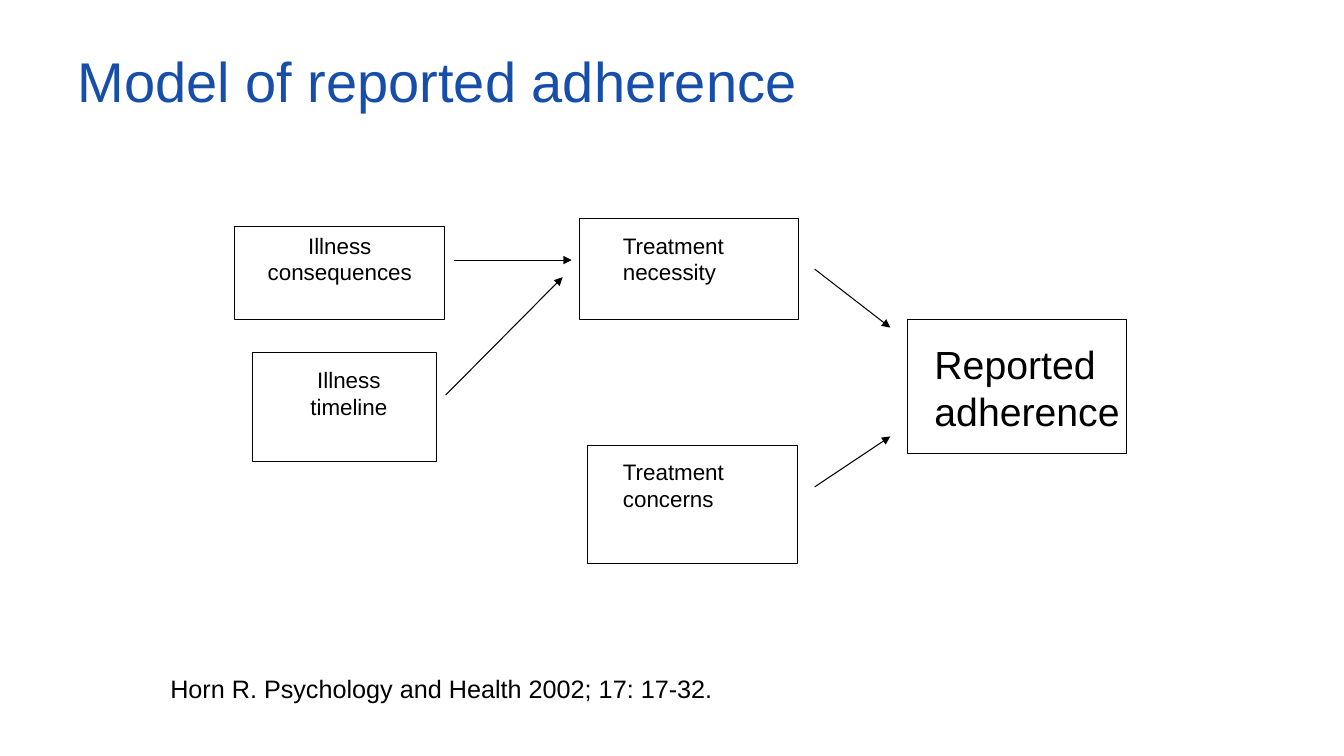
import pptx
import pptx.dml.color
import pptx.enum.shapes
import pptx.enum.text
import pptx.oxml
import pptx.oxml.ns
import pptx.util
from pptx.util import Inches

ALIGN = pptx.enum.text.PP_ALIGN
TITLE_ONLY = 5


def color(value):
    return pptx.dml.color.RGBColor.from_string(value)


def apply(target, values):
    for name, value in values.items():
        setattr(target, name, value)


class ModelSlide:
    font = "Arial"
    ink = "000000"
    title_ink = "164EAA"
    line_width = pptx.util.Pt(0.75)

    def __init__(self, deck):
        self.page = deck.slides.add_slide(deck.slide_layouts[TITLE_ONLY])

    def fill_text(self, frame, words, size, ink, align, anchor, spacing=1.0):
        apply(frame, {
            "word_wrap": True,
            "auto_size": pptx.enum.text.MSO_AUTO_SIZE.NONE,
            "vertical_anchor": anchor,
        })
        para = frame.paragraphs[0]
        apply(para, {"alignment": align, "line_spacing": spacing})
        span = para.add_run()
        span.text = words
        apply(span.font, {"name": self.font, "size": pptx.util.Pt(size)})
        span.font.color.rgb = color(ink)

    def title(self, words, left, top, width, height):
        box = self.page.shapes.title
        apply(box, {"left": Inches(left), "top": Inches(top),
                    "width": Inches(width), "height": Inches(height)})
        self.fill_text(box.text_frame, words, 40, self.title_ink, ALIGN.LEFT,
                       pptx.enum.text.MSO_ANCHOR.MIDDLE, 0.9)

    def text(self, words, place, size=16, align=ALIGN.LEFT):
        box = self.page.shapes.add_textbox(*map(Inches, place))
        self.fill_text(box.text_frame, words, size, self.ink, align,
                       pptx.enum.text.MSO_ANCHOR.TOP)

    def stroke(self, line):
        line.color.rgb = color(self.ink)
        line.width = self.line_width

    def frame(self, place):
        box = self.page.shapes.add_shape(
            pptx.enum.shapes.MSO_SHAPE.RECTANGLE, *map(Inches, place))
        box.shadow.inherit = False
        box.fill.background()
        self.stroke(box.line)

    def arrow(self, start, end):
        arrow = self.page.shapes.add_connector(
            pptx.enum.shapes.MSO_CONNECTOR.STRAIGHT,
            *map(Inches, start + end))
        self.stroke(arrow.line)
        namespace = pptx.oxml.ns.nsdecls("a")
        properties = arrow._element.spPr
        properties.find(pptx.oxml.ns.qn("a:ln")).append(
            pptx.oxml.parse_xml(f'<a:tailEnd {namespace} type="triangle"/>'))
        properties.append(pptx.oxml.parse_xml(f"<a:effectLst {namespace}/>"))


# Words, frame place, text place, text size, alignment
FACTORS = [
    ("Reported adherence", (9, 3.17, 2.17, 1.33), (9.17, 3.33, 2.33, 1.03), 28, ALIGN.LEFT),
    ("Treatment necessity", (5.75, 2.17, 2.17, 1), (6.08, 2.25, 1.67, 0.64), 16, ALIGN.LEFT),
    ("Treatment concerns", (5.83, 4.42, 2.08, 1.17), (6.08, 4.5, 1.58, 0.64), 16, ALIGN.LEFT),
    ("Illness consequences", (2.33, 2.25, 2.08, 0.92), (2.33, 2.25, 2.08, 0.64), 16, ALIGN.CENTER),
    ("Illness timeline", (2.5, 3.5, 1.83, 1.08), (2.75, 3.58, 1.42, 0.64), 16, ALIGN.CENTER),
]

ARROWS = [
    ((8.08, 2.67), (8.83, 3.25)),
    ((8.08, 4.83), (8.83, 4.33)),
    ((4.5, 2.58), (5.67, 2.58)),
    ((4.42, 3.92), (5.58, 2.75)),
]


def main():
    deck = pptx.Presentation()
    apply(deck, {"slide_width": Inches(13.33), "slide_height": Inches(7.5)})
    model = ModelSlide(deck)
    model.title("Model of reported adherence", 0.67, 0.38, 8.5, 0.91)
    for words, frame_place, text_place, size, align in FACTORS:
        model.frame(frame_place)
        model.text(words, text_place, size, align)
    for start, end in ARROWS:
        model.arrow(start, end)
    model.text("Horn R. Psychology and Health 2002; 17: 17-32.",
               (1.59, 6.63, 6.75, 0.4), 18)
    deck.save("out.pptx")


if __name__ == "__main__":
    main()
